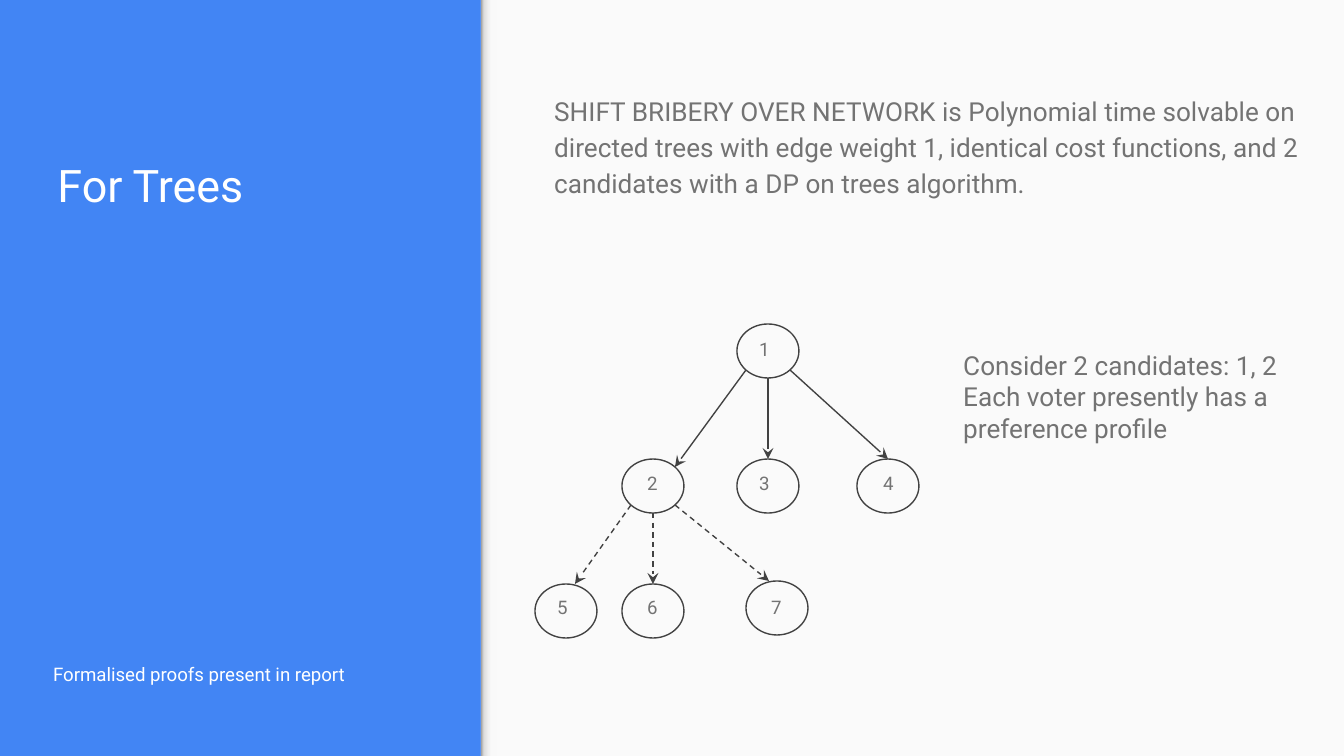
import copy

import pptx
import pptx.dml.color
import pptx.enum.dml
import pptx.enum.shapes
import pptx.enum.text
import pptx.oxml
import pptx.oxml.ns
import pptx.util

EMU_PER_PX = 914400 / 134.4
SHAPE = pptx.enum.shapes.MSO_SHAPE
ANCHOR = pptx.enum.text.MSO_ANCHOR
BLUE, PAPER, WHITE = "4285F4", "FAFAFA", "FFFFFF"
INK, GREY = "424242", "737373"
NODE_W, NODE_H = 62, 54


def px(n):
    return pptx.util.Emu(round(n * EMU_PER_PX))


def rgb(value):
    return pptx.dml.color.RGBColor.from_string(value)


class Deck:
    """Holds the font and the current slide."""

    font = "Roboto"

    def __init__(self, width, height):
        self.prs = pptx.Presentation()
        self.prs.slide_width, self.prs.slide_height = px(width), px(height)

    def add_slide(self, background):
        self.s = self.prs.slides.add_slide(self.prs.slide_layouts[5])
        fill = self.s.background.fill
        fill.solid()
        fill.fore_color.rgb = rgb(background)

    def fill_text(self, sp, lines, size, color, spacing=1.0, anchor=ANCHOR.TOP):
        tf = sp.text_frame
        tf.word_wrap = True
        tf.auto_size = pptx.enum.text.MSO_AUTO_SIZE.NONE
        tf.vertical_anchor = anchor
        tf.margin_left = tf.margin_right = pptx.util.Inches(0.1)
        tf.margin_top = tf.margin_bottom = pptx.util.Inches(0.1)
        for i, line in enumerate(lines):
            p = tf.add_paragraph() if i else tf.paragraphs[0]
            p.alignment = pptx.enum.text.PP_ALIGN.LEFT
            p.line_spacing = spacing
            r = p.add_run()
            r.text = line
            r.font.name = self.font
            r.font.size = pptx.util.Pt(size)
            r.font.color.rgb = rgb(color)

    def title(self, text, x, y, w, h):
        sp = self.s.shapes.title
        sp.left, sp.top, sp.width, sp.height = map(px, (x, y, w, h))
        self.fill_text(sp, [text], 24, WHITE, anchor=ANCHOR.BOTTOM)

    def text(self, lines, x, y, w, h, size=14, color=GREY, spacing=1.0):
        sp = self.s.shapes.add_textbox(*map(px, (x, y, w, h)))
        self.fill_text(sp, lines, size, color, spacing)

    def shape(self, kind, x, y, w, h, fill, line=None):
        sp = self.s.shapes.add_shape(kind, *map(px, (x, y, w, h)))
        sp.shadow.inherit = False
        sp.fill.solid()
        sp.fill.fore_color.rgb = rgb(fill)
        if line:
            sp.line.color.rgb = rgb(line)
            sp.line.width = pptx.util.Pt(0.75)
        else:
            sp.line.fill.background()
        return sp

    def gradient(self, x, y, w, h, stops):
        """Draw a left-to-right gradient from (position, colour) stops."""
        sp = self.shape(SHAPE.RECTANGLE, x, y, w, h, PAPER)
        sp.fill.gradient()
        sp.fill.gradient_angle = 0
        gs_list = sp._element.spPr.find(".//" + pptx.oxml.ns.qn("a:gsLst"))
        for _ in stops[2:]:
            gs_list.append(copy.deepcopy(gs_list[0]))
        for stop, (position, color) in zip(sp.fill.gradient_stops, stops):
            stop.position = position
            stop.color.rgb = rgb(color)

    def arrow(self, x1, y1, x2, y2, dashed):
        cn = self.s.shapes.add_connector(
            pptx.enum.shapes.MSO_CONNECTOR.STRAIGHT, *map(px, (x1, y1, x2, y2)))
        cn.line.color.rgb = rgb(INK)
        cn.line.width = pptx.util.Pt(0.75)
        if dashed:
            cn.line.dash_style = pptx.enum.dml.MSO_LINE.DASH
        ns = pptx.oxml.ns.nsdecls("a")
        sp_pr = cn._element.spPr
        sp_pr.find(pptx.oxml.ns.qn("a:ln")).append(
            pptx.oxml.parse_xml(f'<a:tailEnd {ns} type="stealth"/>'))
        sp_pr.append(pptx.oxml.parse_xml(f'<a:effectLst {ns}/>'))

    def node(self, label, x, y, dx, dy):
        """Draw a circle and its label, set off by (dx, dy)."""
        self.shape(SHAPE.OVAL, x, y, NODE_W, NODE_H, PAPER, INK)
        self.text([label], x + dx, y + dy, 38, 35, size=10)


# label: left, top, label offset
NODES = {
    "1": (737, 324, 9, 0),
    "2": (622, 459, 12, -1),
    "3": (737, 459, 9, -1),
    "4": (857, 459, 13, -1),
    "5": (535, 584, 9, -2),
    "6": (622, 584, 12, -2),
    "7": (746, 581, 12, 1),
}

# parent, child, side of the parent's base, end offset from the child's top, dashed
EDGES = [
    ("1", "2", -1, 22, 8, False),
    ("1", "3", 0, 0, 0, False),
    ("1", "4", 1, 0, 0, False),
    ("2", "5", -1, 9, 0, True),
    ("2", "6", 0, 0, 0, True),
    ("2", "7", 1, -8, 0, True),
]


def main():
    deck = Deck(1344, 756)
    deck.add_slide(BLUE)
    deck.shape(SHAPE.RECTANGLE, 481, 0, 863, 756, PAPER)
    deck.gradient(481, 0, 16, 756, [
        (0, "999999"), (0.2, "DEDEDE"), (0.64, "F9F9F9"), (1, "F9F9F9")])

    deck.title("For Trees", 44, 128, 413, 97)
    deck.text(["SHIFT BRIBERY OVER NETWORK is Polynomial time solvable on "
               "directed trees with edge weight 1, identical cost functions, "
               "and 2 candidates with a DP on trees algorithm."],
              541, 77, 776, 120, spacing=1.15)
    deck.text(["Formalised proofs present in report"],
              40, 649, 380, 69, size=10, color=WHITE)

    for label, place in NODES.items():
        deck.node(label, *place)
    for parent, child, side, dx, dy, dashed in EDGES:
        x1, y1 = NODES[parent][:2]
        x2, y2 = NODES[child][:2]
        mid = NODE_W // 2
        base = NODE_H - 8 * abs(side)
        deck.arrow(x1 + mid + 22 * side, y1 + base,
                   x2 + mid + dx, y2 + dy, dashed)

    deck.text(["Consider 2 candidates: 1, 2",
               "Each voter presently has a preference profile"],
              950, 336, 359, 210)
    deck.prs.save("out.pptx")


if __name__ == "__main__":
    main()
